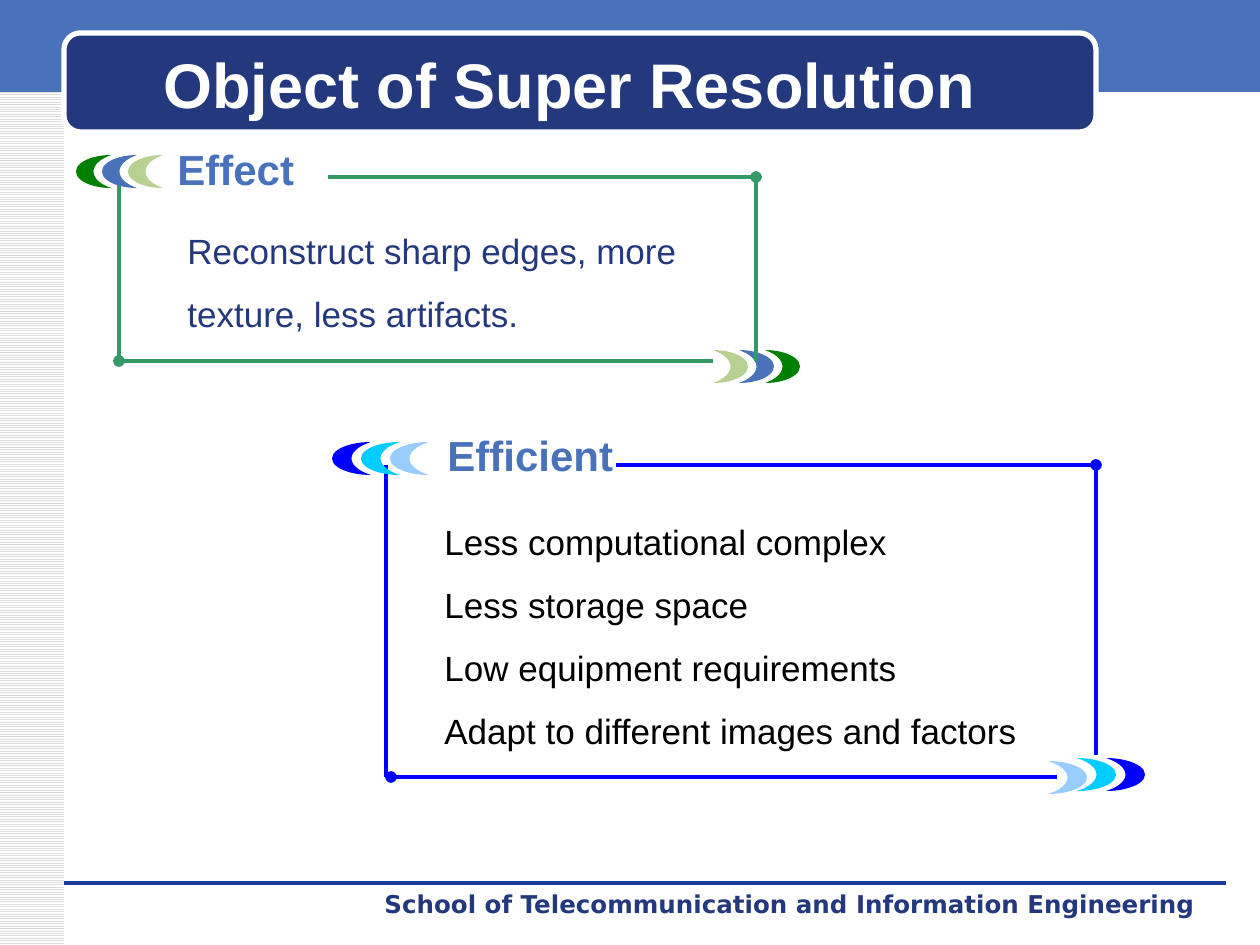
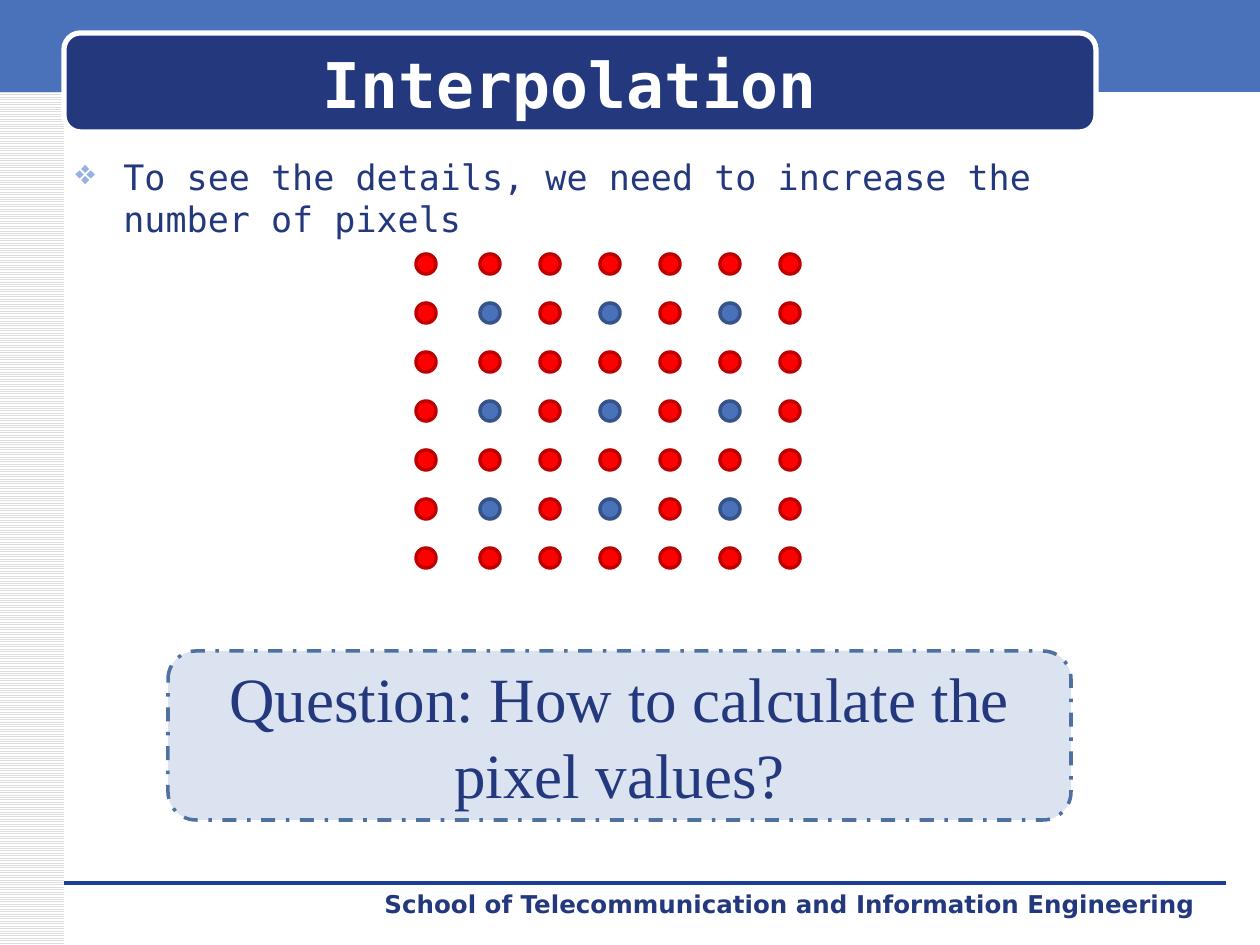
from lxml import etree
from pptx import Presentation
from pptx import util as u
from pptx.dml.color import RGBColor
from pptx.enum import dml, shapes, text
from pptx.oxml.ns import qn

PX = 914400 / 126  # EMU in one px
COLORS = {
    "white": "FFFFFF", "black": "000000", "hatch": "DDDDDD",
    "navy": "23387D", "blue": "4972BB", "rule": "1A3D97", "bullet": "96B1E6",
    "green": "339966", "leaf": "008000", "sage": "B8D193",
    "royal": "0000FF", "cyan": "00CCFF", "sky": "99CCFF",
    "known edge": "36548A", "red": "FF0000", "red edge": "C00000",
    "question": "DBE3F1", "question edge": "4E71A0",
}
SANS, MONO, SERIF, FOOT = "Arial", "DejaVu Sans Mono", "Times New Roman", "DejaVu Sans"
FORMATS = {
    "title": {"size": u.Pt(36), "bold": True},
    "heading": {"size": u.Pt(24), "bold": True, "name": SANS},
    "body": {"size": u.Pt(20), "name": SANS},
    "point": {"size": u.Pt(20), "name": MONO},
    "question": {"size": u.Pt(36), "name": SERIF},
    "footer": {"size": u.Pt(14), "bold": True, "name": FOOT},
}
CENTER = {"alignment": text.PP_ALIGN.CENTER}
SHAPE = shapes.MSO_SHAPE


def px(*lengths):
    return [u.Emu(round(length * PX)) for length in lengths]


def color(name):
    return RGBColor.from_string(COLORS[name])


class Deck:
    """Holds the presentation, its style and the current slide."""

    def __init__(self):
        self.prs = Presentation()
        self.prs.slide_width, self.prs.slide_height = px(1260, 945)
        self.slide = None

    def shape(self, kind, box, fill, edge=None, width=2, dash=None, turn=0):
        item = self.slide.shapes.add_shape(kind, *px(*box))
        item.shadow.inherit = False
        item.rotation = turn
        item.fill.solid()
        item.fill.fore_color.rgb = color(fill)
        if edge:
            item.line.color.rgb = color(edge)
            item.line.width = u.Pt(width)
            item.line.dash_style = dash
        else:
            item.line.fill.background()
        return item

    def line(self, start, end, name, width=2.25, dot=None):
        """Straight line; dot is headEnd or tailEnd for a round end."""
        item = self.slide.shapes.add_connector(
            shapes.MSO_CONNECTOR.STRAIGHT, *px(*start, *end))
        item.line.color.rgb = color(name)
        item.line.width = u.Pt(width)
        if dot:
            etree.SubElement(item.line._ln, qn(f"a:{dot}"), type="oval")
        etree.SubElement(item._element.spPr, qn("a:effectLst"))

    def fill_text(self, frame, lines, style, ink, layout=None, bullet=None, **extra):
        frame.word_wrap = True
        for i, words in enumerate(lines):
            para = frame.add_paragraph() if i else frame.paragraphs[0]
            for key, value in (layout or {}).items():
                setattr(para, key, value)
            if bullet:
                self.bullet(para, bullet)
            run = para.add_run()
            run.text = words
            for key, value in {**FORMATS[style], **extra}.items():
                setattr(run.font, key, value)
            run.font.color.rgb = color(ink)

    def bullet(self, para, sign, indent=48):
        props = para._p.get_or_add_pPr()
        hang = px(indent)[0]
        props.set("marL", str(hang))
        props.set("indent", str(-hang))
        tint = etree.SubElement(props, qn("a:buClr"))
        etree.SubElement(tint, qn("a:srgbClr"), val=COLORS["bullet"])
        etree.SubElement(props, qn("a:buChar"), char=sign)

    def text(self, box, lines, style, ink, layout=None, **extra):
        frame = self.slide.shapes.add_textbox(*px(*box)).text_frame
        self.fill_text(frame, lines, style, ink, layout, **extra)
        return frame

    def new_slide(self, title, font):
        self.slide = self.prs.slides.add_slide(self.prs.slide_layouts[6])
        # Hatched side strip and top band
        strip = self.shape(SHAPE.RECTANGLE, (0, 0, 64, 945), "white")
        strip.fill.patterned()
        strip.fill.pattern = dml.MSO_PATTERN.LIGHT_HORIZONTAL
        strip.fill.fore_color.rgb = color("hatch")
        strip.fill.back_color.rgb = color("white")
        self.shape(SHAPE.RECTANGLE, (0, -4, 1260, 96), "blue")
        # Footer
        self.line((64, 883), (1226, 883), "rule", width=0)
        self.text((372, 883, 873, 43),
                  ["School of Telecommunication and Information Engineering"],
                  "footer", "navy")
        # Title
        self.shape(SHAPE.ROUNDED_RECTANGLE, (64, 33, 1032, 99), "navy", "white", 3)
        frame = self.text((76, 44, 987, 78), [title], "title", "white", CENTER, name=font)
        frame.vertical_anchor = text.MSO_ANCHOR.MIDDLE

    def moons(self, places, width, tints, turn=0):
        for (x, y), tint in zip(places, tints):
            self.shape(SHAPE.MOON, (x, y, width, 33), tint, turn=turn)

    def bracket(self, frame, tints, opening, closing, moon_width, top_start,
                right_end, bottom_span, ink):
        """Open frame with crescents at its first and last corner."""
        left, top, right, bottom = frame
        self.line((left, top), (left, bottom), ink)
        self.moons(opening, moon_width, tints)
        self.moons(closing, moon_width, tints, turn=180)
        self.line((top_start, top), (right, top), ink, dot="tailEnd")
        self.line((right, top), (right, right_end), ink)
        start, end = bottom_span
        self.line((start, bottom), (end, bottom), ink, dot="headEnd")


def super_resolution(deck):
    deck.new_slide("Object of Super Resolution", SANS)
    spaced = {"line_spacing": 1.5}

    # Effect
    deck.text((175, 202, 551, 154),
              ["Reconstruct sharp edges, more texture, less artifacts."],
              "body", "navy", spaced)
    deck.bracket((119, 177, 756, 361), ("leaf", "blue", "sage"),
                 [(76 + 26 * i, 155) for i in range(3)],
                 [(765 - 26 * i, 350) for i in range(3)],
                 35, 328, 361, (119, 713), "green")
    deck.text((165, 137, 164, 63), ["Effect"], "heading", "blue")

    # Efficient
    deck.bracket((386, 465, 1096, 777), ("royal", "cyan", "sky"),
                 [(332 + 29 * i, 442) for i in range(3)],
                 [(1106, 758), (1077, 758), (1048, 761)],
                 39, 616, 755, (391, 1057), "royal")
    deck.text((432, 493, 615, 323),
              ["Less computational complex", "Less storage space",
               "Low equipment requirements", "Adapt to different images and factors"],
              "body", "black", spaced)
    deck.text((435, 423, 236, 63), ["Efficient"], "heading", "blue")


def interpolation(deck):
    deck.new_slide("Interpolation", MONO)
    deck.text((63, 149, 1043, 67),
              ["To see the details, we need to increase the number of pixels"],
              "point", "navy", bullet="❖")

    # Pixel grid: blue dots where both row and column are odd
    columns = [416, *range(480, 781, 60)]
    rows = [254 + 49 * i for i in range(7)]
    for r, y in enumerate(rows):
        for c, x in enumerate(columns):
            tints = ("blue", "known edge") if r % 2 and c % 2 else ("red", "red edge")
            deck.shape(SHAPE.OVAL, (x, y, 20, 20), *tints)

    # Question
    question = deck.shape(SHAPE.ROUNDED_RECTANGLE, (168, 651, 903, 169), "question",
                          "question edge", dash=dml.MSO_LINE.DASH_DOT)
    question.text_frame.vertical_anchor = text.MSO_ANCHOR.MIDDLE
    deck.fill_text(question.text_frame, ["Question: How to calculate the pixel values?"],
                   "question", "navy", CENTER)


def main():
    deck = Deck()
    super_resolution(deck)
    interpolation(deck)
    deck.prs.save("out.pptx")


if __name__ == "__main__":
    main()
